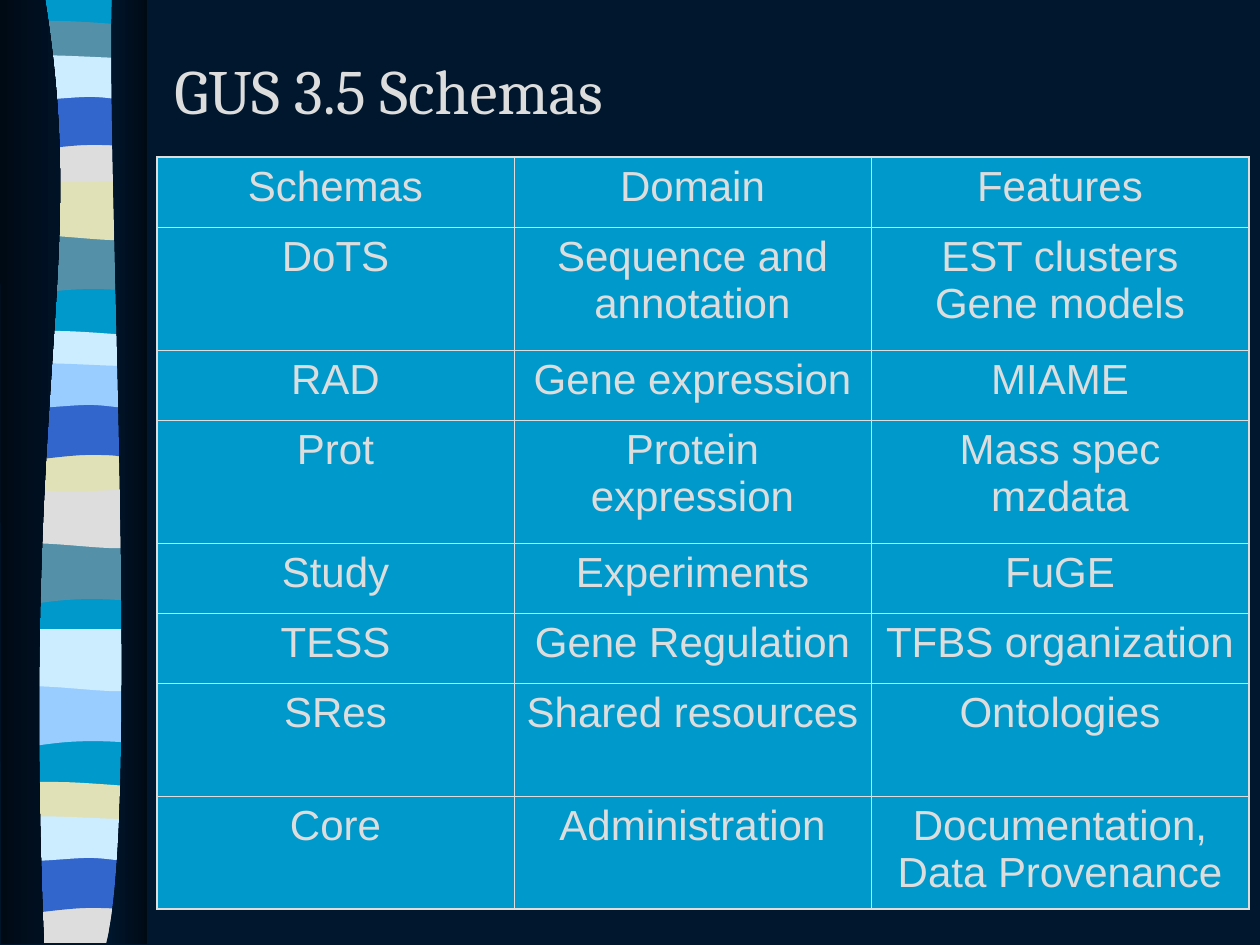
from lxml.etree import SubElement
from pptx import Presentation
from pptx.dml.color import RGBColor as Rgb
from pptx.enum.text import MSO_ANCHOR as Anchor, PP_ALIGN as Align
from pptx.oxml.ns import qn
from pptx.util import Pt

SCALE = 914400 / 126

COLORS = {
    "night": "00172E", "black": "000A15", "blue": "0099CC", "teal": "5490A8",
    "sand": "E1E1B7", "gray": "DDDDDD", "royal": "3366CC", "ice": "CCECFF",
    "sky": "99CCFF",
}

# A pair is a line to a point; six numbers are a cubic curve.
WAVES = {
    "slant": [(136, 0), (136, 59), (42, 49, 23, 69, 0, 59), (0, 0)],
    "swell": [(136, 0), (136, 59), (113, 69, 42, 52, 0, 59), (0, 0)],
    "cap": [(136, 6), (136, 36), (113, 41, 23, 41, 0, 36), (0, 6),
            (8, 0, 29, 1, 52, 1), (74, 1, 118, 5, 136, 6)],
    "bowl": [(136, 0), (136, 41), (113, 48, 23, 48, 0, 41), (0, 0),
             (83, 6, 107, 0, 136, 0)],
    "arch": [(136, 0), (136, 59), (115, 52, 106, 52, 83, 52),
             (60, 52, 20, 59, 0, 59), (0, 0)],
    "ribbon": [(136, 6), (136, 45), (127, 52, 106, 45, 83, 45),
               (60, 45, 14, 52, 0, 45), (0, 6), (19, 0, 91, 6, 115, 6),
               (137, 6, 132, 6, 136, 6)],
    "foot": [(136, 0), (136, 46), (0, 46), (0, 0), (83, 6, 107, 0, 136, 0)],
}

BANDS = [
    ("slant", 7, 233, "teal"), ("swell", 7, 178, "sand"),
    ("cap", 7, 20, "teal"), ("bowl", 7, 136, "gray"),
    ("arch", 7, 93, "royal"), ("ribbon", 7, 52, "ice"),
    ("slant", 6, 543, "teal"), ("swell", 6, 486, "gray"),
    ("cap", 6, 330, "ice"), ("bowl", 6, 445, "sand"),
    ("arch", 6, 403, "royal"), ("ribbon", 6, 360, "sky"),
    ("slant", 7, 685, "sky"), ("swell", 7, 629, "ice"),
    ("cap", 6, 781, "sand"), ("foot", 6, 897, "gray"),
    ("arch", 6, 856, "royal"), ("ribbon", 6, 813, "ice"),
]

BACKDROP = [(143, -1), (143, 941), (7, 941), (7, -1)]
CURTAINS = [
    ([(45, -1), (89, 272, 21, 373, 44, 944), (1, 944), (0, -1)],
     ("black", "night")),
    ([(112, -1), (106, 158, 141, 814, 106, 944), (147, 944), (147, 0)],
     ("night", "black")),
]

COLUMN_WIDTHS = [357, 357, 378]
ROW_HEIGHTS = [70, 123, 70, 123, 70, 70, 113, 113]
SCHEMAS = [
    ("Schemas", "Domain", "Features"),
    ("DoTS", "Sequence and annotation", "EST clusters\nGene models"),
    ("RAD", "Gene expression", "MIAME"),
    ("Prot", "Protein expression", "Mass spec\nmzdata"),
    ("Study", "Experiments", "FuGE"),
    ("TESS", "Gene Regulation", "TFBS organization"),
    ("SRes", "Shared resources", "Ontologies"),
    ("Core", "Administration", "Documentation, Data Provenance"),
]

TITLE_FONT = {"name": "Cambria", "size": Pt(36)}
CELL_FONT = {"name": "Arial", "size": Pt(24)}


def px(length):
    return round(length * SCALE)


def color(name):
    return Rgb.from_string(COLORS[name])


def bend(shape, outline):
    lines = iter(list(shape._element.iter(qn("a:lnTo"))))
    for step in outline[1:]:
        line = next(lines)
        if len(step) == 6:
            line.tag = qn("a:cubicBezTo")
            for _ in range(2):
                extra = next(lines)
                line.append(extra[0])
                extra.getparent().remove(extra)


def add_outline(page, outline, left=0, top=0):
    points = [(px(step[i] + left), px(step[i + 1] + top))
              for step in outline for i in range(0, len(step), 2)]
    builder = page.shapes.build_freeform(*points[0], scale=1.0)
    builder.add_line_segments(points[1:], close=True)
    shape = builder.convert_to_shape()
    bend(shape, outline)
    shape.shadow.inherit = False
    shape.line.fill.background()
    return shape


def add_band(page, outline, tint, left=0, top=0):
    fill = add_outline(page, outline, left, top).fill
    fill.solid()
    fill.fore_color.rgb = color(tint)


def add_curtain(page, outline, tints):
    fill = add_outline(page, outline).fill
    fill.gradient()
    fill.gradient_angle = 0
    for stop, tint in zip(fill.gradient_stops, tints):
        stop.color.rgb = color(tint)


def write(frame, text, font, align):
    frame.text = text
    for para in frame.paragraphs:
        para.alignment = align
        for span in para.runs:
            for key, value in font.items():
                setattr(span.font, key, value)
            span.font.color.rgb = color("gray")


def set_borders(cell, outer):
    properties = cell._tc.get_or_add_tcPr()
    for side in "LRTB":
        width = Pt(1.08 if side in outer else 0.45)
        line = SubElement(properties, qn(f"a:ln{side}"), w=str(width))
        fill = SubElement(line, qn("a:solidFill"))
        SubElement(fill, qn("a:srgbClr"), val=COLORS["gray"])


def add_schema_table(page):
    last_row, last_column = len(ROW_HEIGHTS) - 1, len(COLUMN_WIDTHS) - 1
    table = page.shapes.add_table(
        len(ROW_HEIGHTS), len(COLUMN_WIDTHS), px(157), px(157),
        px(sum(COLUMN_WIDTHS)), px(sum(ROW_HEIGHTS))).table
    table.first_row = table.horz_banding = False
    for column, width in zip(table.columns, COLUMN_WIDTHS):
        column.width = px(width)
    for row, height in zip(table.rows, ROW_HEIGHTS):
        row.height = px(height)
    for r, texts in enumerate(SCHEMAS):
        for c, text in enumerate(texts):
            cell = table.cell(r, c)
            edges = {"L": c == 0, "R": c == last_column,
                     "T": r == 0, "B": r == last_row}
            set_borders(cell, [side for side in edges if edges[side]])
            cell.fill.solid()
            cell.fill.fore_color.rgb = color("blue")
            write(cell.text_frame, text, CELL_FONT, Align.CENTER)


def add_title(page, text):
    box = page.shapes.add_textbox(px(162), px(10), px(1071), px(158))
    frame = box.text_frame
    frame.word_wrap = True
    frame.vertical_anchor = Anchor.MIDDLE
    write(frame, text, TITLE_FONT, Align.LEFT)


def main():
    deck = Presentation()
    deck.slide_width, deck.slide_height = px(1260), px(945)
    page = deck.slides.add_slide(deck.slide_layouts[6])
    page.background.fill.solid()
    page.background.fill.fore_color.rgb = color("night")
    add_band(page, BACKDROP, "blue")
    for wave, left, top, tint in BANDS:
        add_band(page, WAVES[wave], tint, left, top)
    for outline, tints in CURTAINS:
        add_curtain(page, outline, tints)
    add_schema_table(page)
    add_title(page, "GUS 3.5 Schemas")
    deck.save("out.pptx")


if __name__ == "__main__":
    main()
